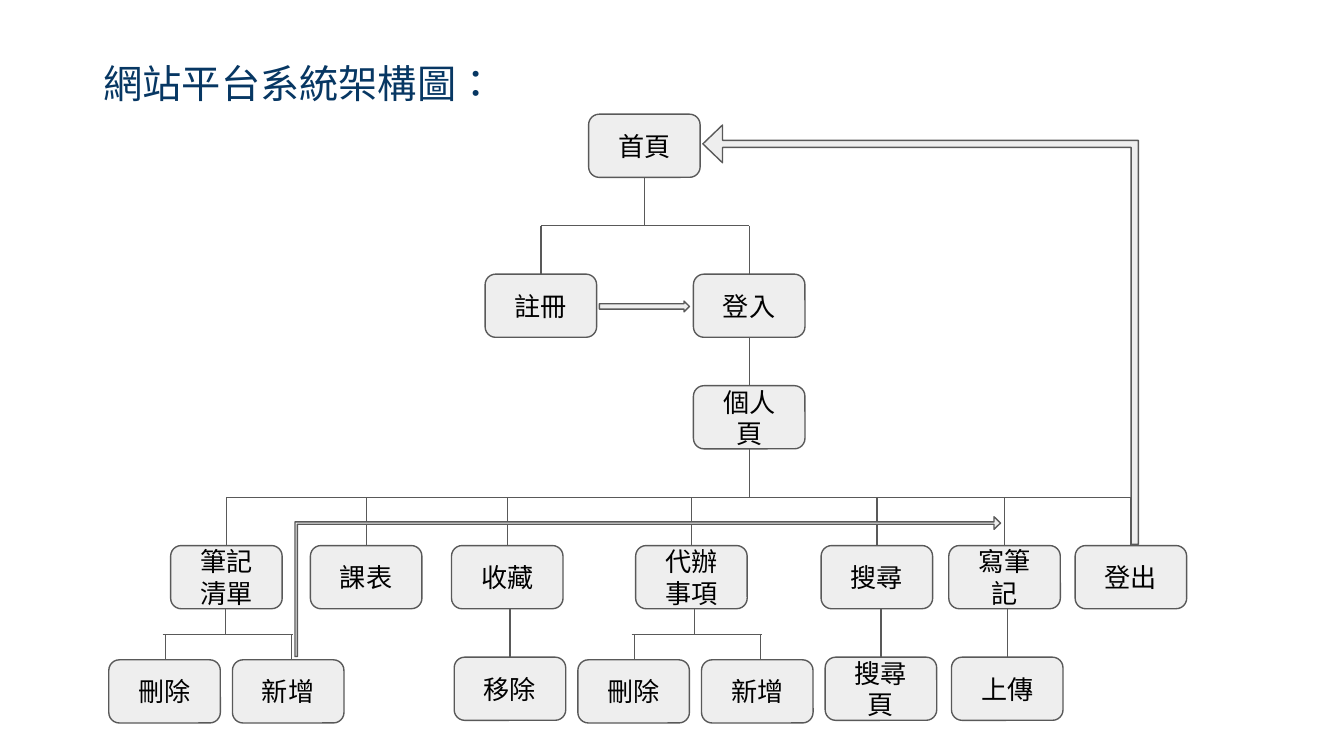
from pptx import Presentation
from pptx.dml.color import RGBColor
from pptx.enum.shapes import MSO_CONNECTOR, MSO_SHAPE
from pptx.enum.text import MSO_ANCHOR, MSO_AUTO_SIZE, PP_ALIGN
from pptx.oxml.ns import qn
from pptx.util import Inches, Pt
from lxml.etree import SubElement

FILL, EDGE, INK, NAVY = "EEEEEE", "595959", "000000", "073763"
WIDE, HIGH = 0.83, 0.47
MID = WIDE / 2


def color(code):
    return RGBColor.from_string(code)


def write(shape, text, size=14, ink=INK, align=PP_ALIGN.CENTER,
          anchor=MSO_ANCHOR.MIDDLE, side=0.1, space=None, indent=None):
    frame = shape.text_frame
    frame.auto_size = MSO_AUTO_SIZE.NONE
    frame.word_wrap = True
    frame.vertical_anchor = anchor
    frame.margin_left = frame.margin_right = Inches(side)
    frame.margin_top = frame.margin_bottom = Inches(0.1)
    para = frame.paragraphs[0]
    para.alignment = align
    if space:
        para.line_spacing = space
    if indent:
        props = para._p.get_or_add_pPr()
        props.set("marL", "0")
        props.set("indent", str(Inches(indent)))
    run = para.add_run()
    run.text = text
    run.font.name = "Arial"
    run.font.size = Pt(size)
    run.font.color.rgb = color(ink)
    run._r.get_or_add_rPr().set("lang", "zh-TW")


def block(slide, kind, x, y, w, h, adjust):
    shape = slide.shapes.add_shape(
        kind, Inches(x), Inches(y), Inches(w), Inches(h))
    shape.shadow.inherit = False
    shape.fill.solid()
    shape.fill.fore_color.rgb = color(FILL)
    shape.line.color.rgb = color(EDGE)
    shape.line.width = Pt(0.75)
    for i, value in enumerate(adjust):
        shape.adjustments[i] = value
    return shape


def node(slide, text, x, y):
    shape = block(slide, MSO_SHAPE.ROUNDED_RECTANGLE, x, y, WIDE, HIGH, [0.167])
    write(shape, text, side=0.11)


def line(slide, x1, y1, x2, y2):
    link = slide.shapes.add_connector(
        MSO_CONNECTOR.STRAIGHT, Inches(x1), Inches(y1), Inches(x2), Inches(y2))
    link.line.color.rgb = color(EDGE)
    link.line.width = Pt(0.75)
    SubElement(link._element.spPr, qn("a:effectLst"))


def bend(slide, x, y, w, h, turn, flip=False):
    shape = block(slide, MSO_SHAPE.BENT_UP_ARROW, x, y, w, h,
                  [0.017, 0.045, 0.047])
    shape.rotation = turn
    if flip:
        shape._element.spPr.find(qn("a:xfrm")).set("flipH", "1")


def head(slide, x, y, w, h):
    title = slide.shapes.title
    title.left, title.top = Inches(x), Inches(y)
    title.width, title.height = Inches(w), Inches(h)
    write(title, "網站平台系統架構圖：", size=21, ink=NAVY, align=PP_ALIGN.LEFT,
          anchor=MSO_ANCHOR.TOP, space=1.5, indent=0.5)


def entry(slide, x, y):
    """Home page, sign-up, login and personal page."""
    home, login = x + 0.77, x + 1.55
    fork, row, last = y + 0.83, y + 1.19, y + 2.02
    line(slide, home + MID, y + HIGH, home + MID, fork)
    line(slide, x + MID, fork, login + MID, fork)
    for left in (x, login):
        line(slide, left + MID, fork, left + MID, row)
    line(slide, login + MID, row + HIGH, login + MID, last)
    line(slide, login + MID, last + HIGH, login + MID, last + 0.83)
    node(slide, "首頁", home, y)
    node(slide, "註冊", x, row)
    node(slide, "登入", login, row)
    node(slide, "個人頁", login, last)
    block(slide, MSO_SHAPE.RIGHT_ARROW, x + 0.85, row + 0.2, 0.67, 0.08,
          [0.5, 0.5])


def menu(slide, x, y, items):
    """Row of functions hanging from one bar."""
    line(slide, x + MID, y, x + items[-1][1] + MID, y)
    for text, step in items:
        left = x + step
        line(slide, left + MID, y, left + MID, y + 0.36)
        node(slide, text, left, y + 0.36)


def single(slide, text, x, y):
    """One page below a function."""
    line(slide, x + MID, y, x + MID, y + 0.36)
    node(slide, text, x, y + 0.36)


def pair(slide, x, y):
    """Delete and add below a function."""
    bar, row = y + 0.19, y + 0.38
    line(slide, x + 0.87, y, x + 0.87, bar)
    line(slide, x + 0.4, bar, x + 1.37, bar)
    for text, step, stem in (("刪除", 0, 0.42), ("新增", 0.92, 1.36)):
        line(slide, x + stem, bar, x + stem, row)
        node(slide, text, x + step, row)


def main():
    deck = Presentation()
    # Widescreen, 16 to 9
    deck.slide_width = Inches(10)
    deck.slide_height = deck.slide_width * 9 // 16
    slide = deck.slides.add_slide(deck.slide_layouts[5])

    head(slide, 0.17, 0.17, 9.15, 0.57)
    entry(slide, 3.61, 0.85)
    menu(slide, 1.27, 3.7, [
        ("筆記清單", 0), ("課表", 1.04), ("收藏", 2.09), ("代辦事項", 3.46),
        ("搜尋", 4.84), ("寫筆記", 5.79), ("登出", 6.73)])

    # Bottom row
    for text, left in (("移除", 3.38), ("搜尋頁", 6.14), ("上傳", 7.08)):
        single(slide, text, left, 4.53)
    for left in (0.81, 4.3):
        pair(slide, left, 4.53)

    # Logout to home, add to write note
    bend(slide, 5.29, 0.87, 3.12, 3.24, 270)
    bend(slide, 4.3, 1.74, 1.04, 5.25, 90, flip=True)

    deck.save("out.pptx")


if __name__ == "__main__":
    main()
